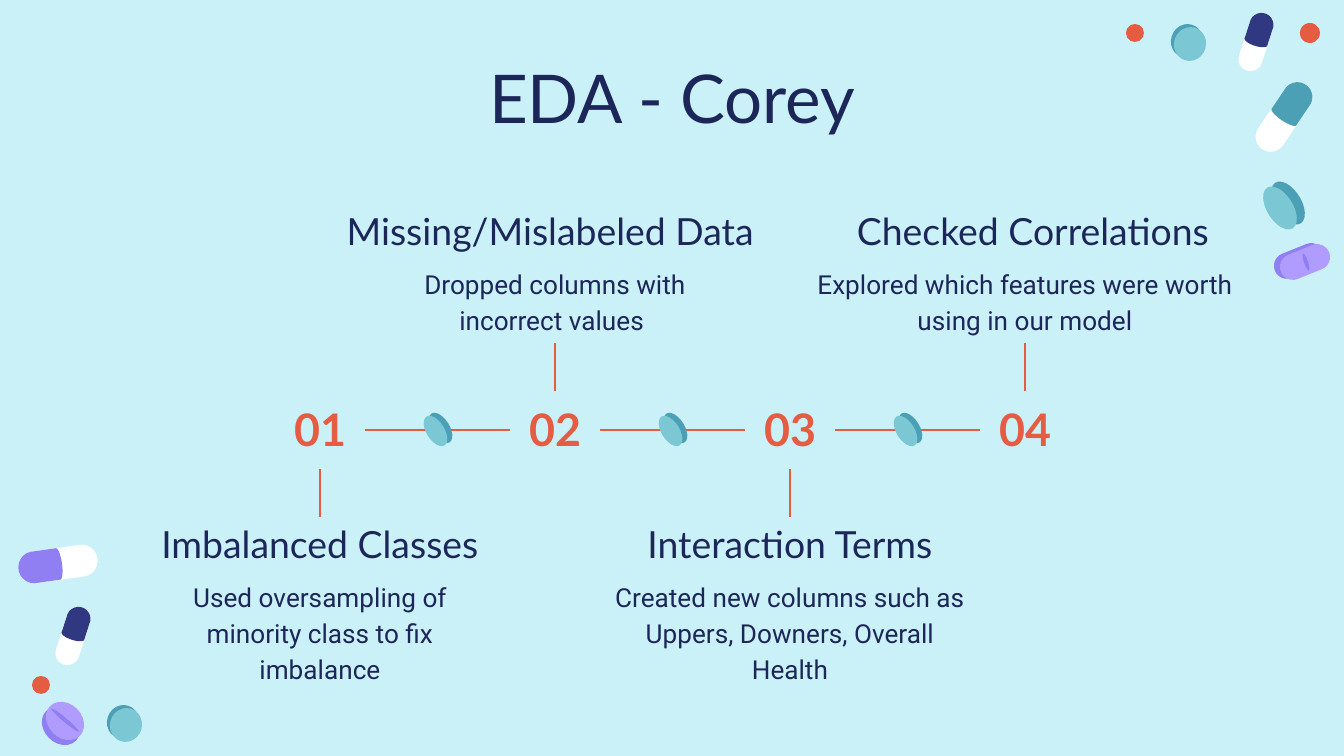
from math import cos, pi, radians, sin

from lxml.etree import SubElement
from pptx import Presentation
from pptx.dml.color import RGBColor
from pptx.enum.shapes import MSO_CONNECTOR, MSO_SHAPE
from pptx.enum.text import MSO_ANCHOR, MSO_AUTO_SIZE, PP_ALIGN
from pptx.oxml.ns import qn
from pptx.util import Emu, Pt

WIDTH, HEIGHT = 1344, 756
SCALE = 9144000 / WIDTH  # EMU in one px
NAVY, ORANGE, SKY, WHITE = "1D2658", "E65C43", "CAF1F8", "FFFFFF"
TEAL, DARK_TEAL, INDIGO = "7BC7D4", "4CA0B6", "303881"
LILAC, VIOLET = "B09BFF", "8F7FF2"
TOP, LEFT, BOTTOM, RIGHT = range(4)


def px(n):
    return Emu(round(n * SCALE))


def rgb(color):
    return RGBColor.from_string(color)


def paint(sp, color):
    sp.shadow.inherit = False
    sp.fill.solid()
    sp.fill.fore_color.rgb = rgb(color)
    sp.line.fill.background()


# Text
def set_text(sp, text, font, size, color=NAVY, bold=False, spacing=1.0,
             anchor=MSO_ANCHOR.TOP):
    tf = sp.text_frame
    tf.word_wrap = True
    tf.auto_size = MSO_AUTO_SIZE.NONE
    tf.vertical_anchor = anchor
    tf.margin_left = tf.margin_right = tf.margin_top = tf.margin_bottom = Pt(7.2)
    p = tf.paragraphs[0]
    p.text = text
    p.alignment = PP_ALIGN.CENTER
    p.line_spacing = spacing
    p.font.name, p.font.size, p.font.bold = font, Pt(size), bold
    p.font.color.rgb = rgb(color)


def add_text(s, x, y, w, h, *args, **style):
    sp = s.shapes.add_textbox(px(x), px(y), px(w), px(h))
    set_text(sp, *args, **style)
    return sp


def connect(s, start, start_side, end, end_side):
    line = s.shapes.add_connector(MSO_CONNECTOR.STRAIGHT, 0, 0, 0, 0)
    line.begin_connect(start, start_side)
    line.end_connect(end, end_side)
    line.line.color.rgb = rgb(ORANGE)
    line.line.width = Pt(1.5)
    SubElement(line._element.spPr, qn("a:effectLst"))


# Pills
def add_round(s, cx, cy, rx, ry, color, angle=0, kind=MSO_SHAPE.OVAL):
    sp = s.shapes.add_shape(kind, px(cx - rx), px(cy - ry), px(2 * rx), px(2 * ry))
    sp.rotation = angle
    if kind == MSO_SHAPE.ROUNDED_RECTANGLE:
        sp.adjustments[0] = 0.5
    paint(sp, color)


def add_capsule(s, cx, cy, angle, half, r, color):
    """White capsule with a coloured end that bulges a little at the joint."""
    add_round(s, cx, cy, half + r, r, WHITE, angle, MSO_SHAPE.ROUNDED_RECTANGLE)
    c, n = cos(radians(angle)), sin(radians(angle))
    points = []
    for i in range(24):
        t = 2 * pi * (i + 0.5) / 24
        x = 4 * cos(t) if cos(t) > 0 else r * cos(t) - half
        y = r * sin(t)
        points.append((px(cx + x * c - y * n), px(cy + x * n + y * c)))
    builder = s.shapes.build_freeform(*points[0])
    builder.add_line_segments(points[1:], close=True)
    paint(builder.convert_to_shape(), color)


def add_tablet(s, cx, cy, angle, rx, ry, edge_shift, face=TEAL, edge=DARK_TEAL,
               kind=MSO_SHAPE.OVAL):
    dx, dy = edge_shift
    add_round(s, cx + dx, cy + dy, rx, ry, edge, angle, kind)
    add_round(s, cx, cy, rx, ry, face, angle, kind)


def bottom_left_pills(s, x, y):
    add_tablet(s, x + 126, y + 185, 107, 17, 16, (-3, -3))
    add_capsule(s, x + 58, y + 24, -8, 24, 16, VIOLET)
    add_capsule(s, x + 73, y + 96, 108, 18, 12, INDIGO)
    add_round(s, x + 41, y + 145, 9, 9, ORANGE)
    add_tablet(s, x + 65, y + 181, 45, 21, 17, (-4, 5), LILAC, VIOLET)
    add_round(s, x + 65, y + 180, 18, 2, VIOLET, 40)


def top_right_pills(s, x, y):
    add_round(s, x + 15, y + 33, 9, 9, ORANGE)
    add_tablet(s, x + 70, y + 44, 107, 17, 16, (-3, -3))
    add_capsule(s, x + 136, y + 42, 108, 18, 12, INDIGO)
    add_round(s, x + 190, y + 33, 10, 10, ORANGE)
    add_capsule(s, x + 164, y + 117, 124, 24, 15, DARK_TEAL)
    add_tablet(s, x + 160, y + 208, 58, 24, 13, (8, -5))
    add_tablet(s, x + 185, y + 262, -22, 26, 13, (-6, -1), LILAC, VIOLET,
               MSO_SHAPE.ROUNDED_RECTANGLE)
    add_round(s, x + 186, y + 262, 9, 2, VIOLET, 71)


# Timeline
def add_step(s, cx, y, number, above, heading, text, head_w, text_w, shift=0):
    """One step centred on cx, its number box starting at y."""
    box = add_text(s, cx - 45, y, 90, 78, number, "Lato", 24, ORANGE, bold=True,
                   anchor=MSO_ANCHOR.BOTTOM)
    top = y - 187 if above else y + 126
    head = add_text(s, cx - head_w / 2 + shift, top, head_w, 62, heading, "Lato", 20,
                    spacing=1.15, anchor=MSO_ANCHOR.BOTTOM)
    body = add_text(s, cx - text_w / 2, top + 46, text_w, 93, text, "Roboto", 14,
                    spacing=1.15)
    if above:
        connect(s, box, TOP, body, BOTTOM)
    else:
        connect(s, head, TOP, box, BOTTOM)
    return box


def timeline(s, x, y, pitch):
    steps = [
        ("Imbalanced Classes",
         "Used oversampling of minority class to fix imbalance", 380, 380),
        ("Missing/Mislabeled Data ", "Dropped columns with incorrect values ", 559, 380),
        ("Interaction Terms",
         "Created new columns such as Uppers, Downers, Overall Health", 380, 380),
        ("Checked Correlations",
         "Explored which features were worth using in our model", 444, 444, 8),
    ]
    boxes = [add_step(s, x + i * pitch, y, f"{i + 1:02}", i % 2 == 1, *step)
             for i, step in enumerate(steps)]
    for i, (a, b) in enumerate(zip(boxes, boxes[1:])):
        connect(s, a, RIGHT, b, LEFT)
        add_tablet(s, x + (i + 0.5) * pitch - 2, y + 40, 58, 17, 9, (5, -3))


def main():
    prs = Presentation()
    prs.slide_width, prs.slide_height = px(WIDTH), px(HEIGHT)
    s = prs.slides.add_slide(prs.slide_layouts[5])
    s.background.fill.solid()
    s.background.fill.fore_color.rgb = rgb(SKY)

    # Title
    title = s.shapes.title
    title.left, title.top, title.width, title.height = map(px, (106, 43, 1132, 84))
    set_text(title, "EDA - Corey", "Lato", 36)

    bottom_left_pills(s, 0, 540)
    top_right_pills(s, 1120, 0)
    timeline(s, 320, 391, 235)
    prs.save("out.pptx")


if __name__ == "__main__":
    main()
